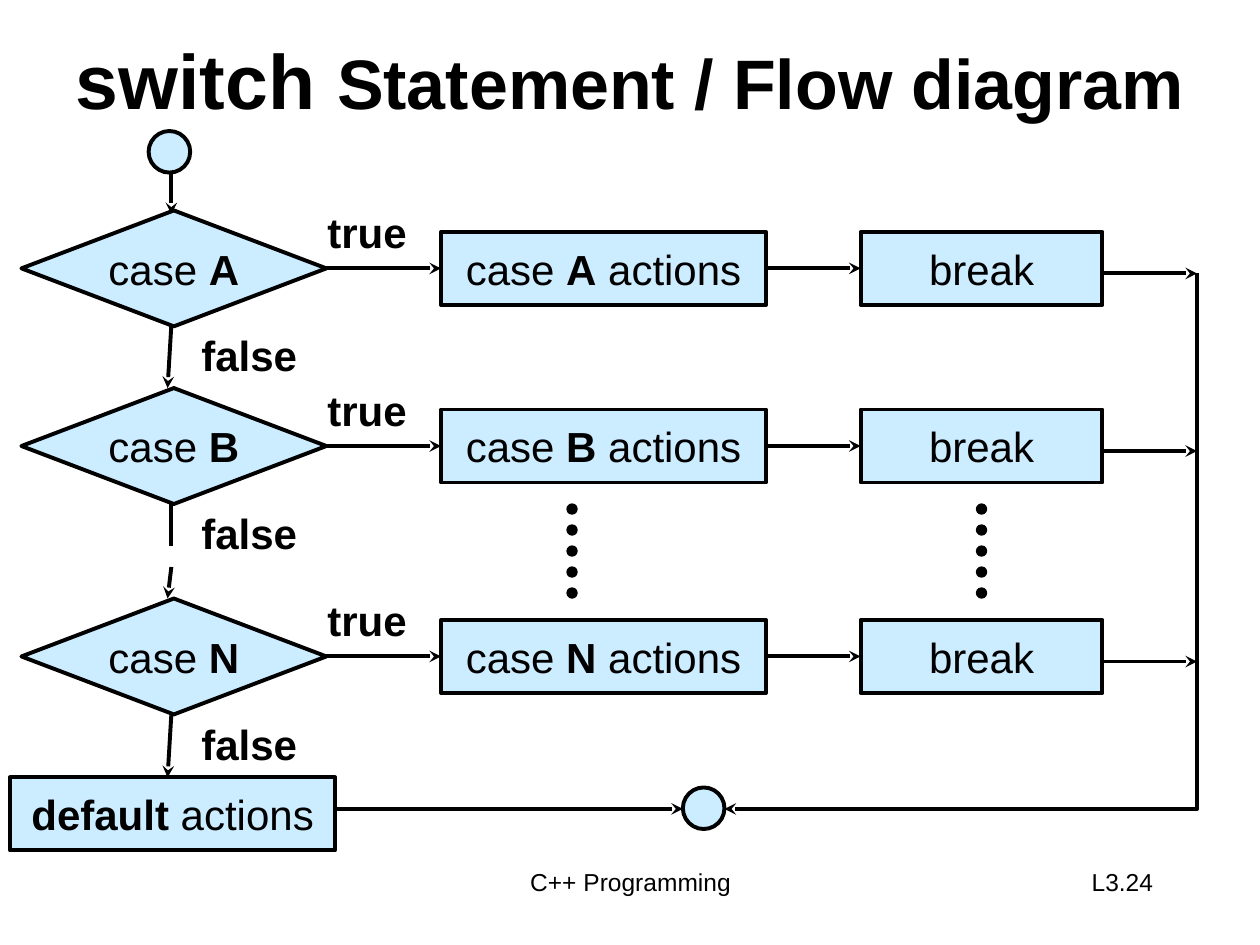
from dataclasses import dataclass

from lxml import etree
from pptx import Presentation
from pptx.dml.color import RGBColor
from pptx.enum.shapes import MSO_CONNECTOR, MSO_SHAPE
from pptx.enum.text import MSO_ANCHOR, PP_ALIGN
from pptx.oxml.ns import qn
from pptx.util import Inches, Pt

STRAIGHT = MSO_CONNECTOR.STRAIGHT
RECTANGLE, DIAMOND, OVAL = MSO_SHAPE.RECTANGLE, MSO_SHAPE.FLOWCHART_DECISION, MSO_SHAPE.OVAL
LEFT, CENTER, RIGHT = PP_ALIGN.LEFT, PP_ALIGN.CENTER, PP_ALIGN.RIGHT
TOP, MIDDLE = MSO_ANCHOR.TOP, MSO_ANCHOR.MIDDLE
LEFT_SIDE, RIGHT_SIDE = 1, 3


@dataclass(frozen=True)
class Theme:
    font: str = "Arial"
    ink: RGBColor = RGBColor(0x00, 0x00, 0x00)
    node: RGBColor = RGBColor(0xCC, 0xEC, 0xFF)
    keyword: Pt = Pt(44)
    title: Pt = Pt(40)
    body: Pt = Pt(24)
    footer: Pt = Pt(14)
    stroke: Pt = Pt(2.25)
    dot_stroke: Pt = Pt(0.75)


theme = Theme()
presentation = Presentation()
presentation.slide_width, presentation.slide_height = Inches(10), Inches(7.5)
slide = presentation.slides.add_slide(presentation.slide_layouts[6])


def add_item(kind, box, texts=(), strong="", size=theme.body, bold=False,
             alignment=CENTER, anchor=MIDDLE, wrap=False):
    bounds = [Inches(value) for value in box]
    if kind is None:
        shape = slide.shapes.add_textbox(*bounds)
    else:
        shape = slide.shapes.add_shape(kind, *bounds)
        shape.shadow.inherit = False
        shape.fill.solid()
        shape.fill.fore_color.rgb = theme.node
        shape.line.color.rgb = theme.ink
        shape.line.width = theme.stroke
    if texts:
        frame = shape.text_frame
        frame.word_wrap = wrap
        frame.vertical_anchor = anchor
        paragraph = frame.paragraphs[0]
        paragraph.alignment = alignment
        paragraph.font.name = theme.font
        paragraph.font.size = size
        paragraph.font.bold = bold
        paragraph.font.color.rgb = theme.ink
        for text in texts:
            run = paragraph.add_run()
            run.text = text
            if text == strong:
                run.font.bold = True
    return shape


def add_route(*points, arrow=True):
    corners = [(Inches(x), Inches(y)) for x, y in points]
    if len(corners) == 2:
        route = slide.shapes.add_connector(STRAIGHT, *corners[0], *corners[1])
        etree.SubElement(route.element.spPr, qn("a:effectLst"))
    else:
        builder = slide.shapes.build_freeform(*corners[0])
        builder.add_line_segments(corners[1:], close=False)
        route = builder.convert_to_shape()
        route.fill.background()
        route.shadow.inherit = False
    route.line.color.rgb = theme.ink
    route.line.width = theme.stroke
    if arrow:
        outline = route.element.spPr.find(qn("a:ln"))
        etree.SubElement(outline, qn("a:tailEnd"), type="stealth")
    return route


title = add_item(None, (0.25, 0, 9.5, 1.25), ["switch ", "Statement / Flow diagram"],
                 size=theme.title, bold=True, wrap=True)
title.text_frame.paragraphs[0].runs[0].font.size = theme.keyword

add_route((1.36, 1.37), (1.36, 1.7))
add_item(OVAL, (1.18, 1.04, 0.33, 0.33))
add_route((9.5, 2.17), (9.5, 6.42), (5.75, 6.42))

for letter, top in (("A", 1.67), ("B", 3.08), ("N", 4.75)):
    decision = add_item(DIAMOND, (0.17, top, 2.42, 0.92), ["case ", letter], strong=letter)
    actions = add_item(RECTANGLE, (3.5, top + 0.17, 2.58, 0.58),
                       ["case ", letter, " actions"], strong=letter)
    break_box = add_item(RECTANGLE, (6.83, top + 0.17, 1.92, 0.58), ["break"])
    for label, left, offset, width in (("true", 2.5, -0.08, 0.83), ("false", 1.5, 0.9, 0.96)):
        add_item(None, (left, top + offset, width, 0.5), [label],
                 bold=True, alignment=LEFT, anchor=TOP)
    middle = top + 0.46
    for source, target, start, end in ((decision, actions, 2.59, 3.5),
                                       (actions, break_box, 6.08, 6.83)):
        link = add_route((start, middle), (end, middle))
        link.begin_connect(source, RIGHT_SIDE)
        link.end_connect(target, LEFT_SIDE)
    add_route((8.75, top + 0.5), (9.5, top + 0.5))

for top in (2.58, 5.67):
    add_route((1.36, top), (1.33, top + 0.5))
add_route((1.36, 4), (1.36, 4.33), arrow=False)
add_route((1.36, 4.5), (1.33, 4.75))

add_item(RECTANGLE, (0.08, 6.17, 2.58, 0.58), ["default", " actions"], strong="default")
add_item(OVAL, (5.42, 6.25, 0.33, 0.33))
add_route((2.67, 6.42), (5.42, 6.42))

for left in (4.5, 7.75):
    for index in range(5):
        dot = add_item(OVAL, (left, 4 + index / 6, 0.08, 0.08))
        dot.fill.fore_color.rgb = theme.ink
        dot.line.width = theme.dot_stroke

for text, left, width, alignment in (("C++ Programming", 2.92, 4.17, CENTER),
                                     ("L3.24", 7.17, 2.08, RIGHT)):
    add_item(None, (left, 6.83, width, 0.5), [text], size=theme.footer,
             alignment=alignment, anchor=TOP, wrap=True)

presentation.save("out.pptx")
